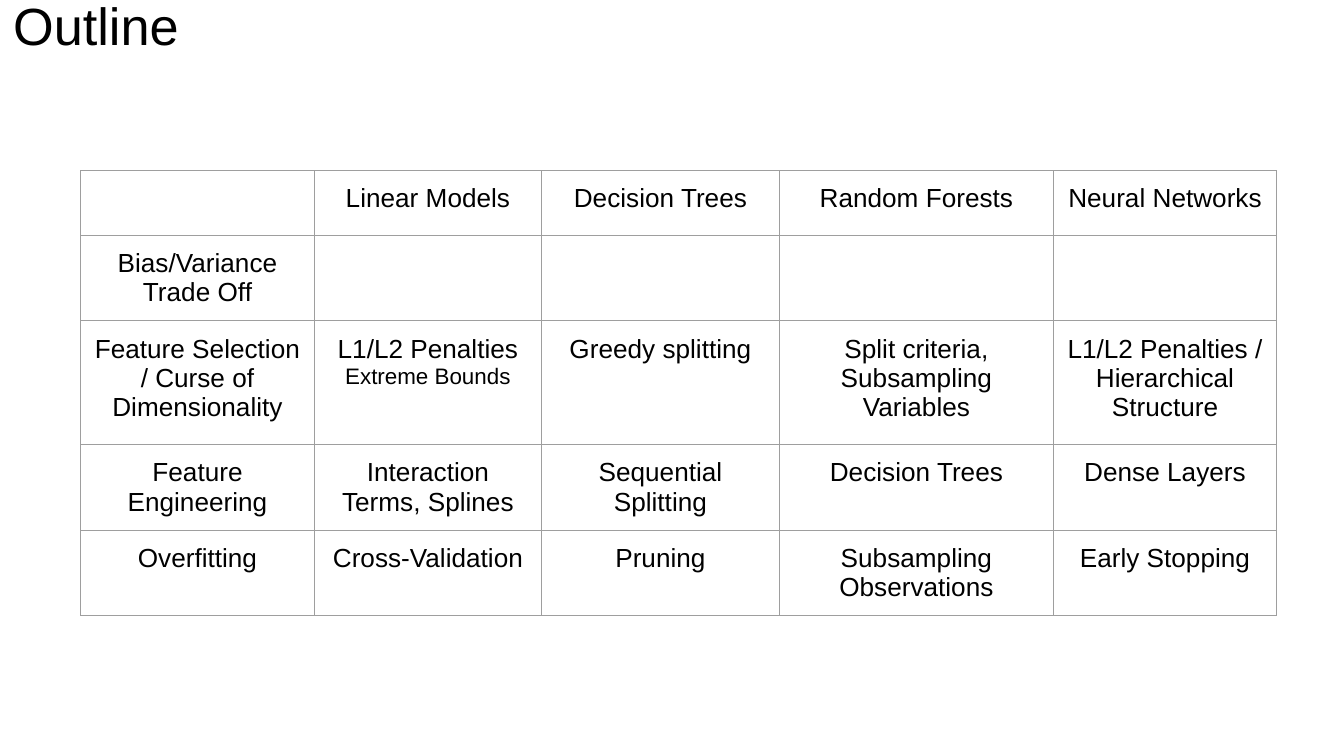
from lxml.etree import SubElement
from pptx import Presentation
from pptx.dml.color import RGBColor
from pptx.enum.text import MSO_ANCHOR as Anchor, PP_ALIGN as Align
from pptx.oxml.ns import qn
from pptx.util import Inches, Pt

COLORS = {"text": "000000", "border": "9E9E9E", "background": "FFFFFF"}
FONT = "Arial"
INSET = Inches(0.1)
BODY_SIZE, NOTE_SIZE, TITLE_SIZE = 14, 12, 28

COLUMN_WIDTHS = [1.74, 1.69, 1.77, 2.04, 1.66]
ROW_HEIGHTS = [0.48, 0.42, 0.92, 0.43, 0.43]
TOPICS = [
    ["", "Linear Models", "Decision Trees", "Random Forests", "Neural Networks"],
    ["Bias/Variance Trade Off", "", "", "", ""],
    ["Feature Selection / Curse of Dimensionality",
     "L1/L2 Penalties\nExtreme Bounds", "Greedy splitting",
     "Split criteria, Subsampling Variables",
     "L1/L2 Penalties / Hierarchical Structure"],
    ["Feature Engineering", "Interaction Terms, Splines",
     "Sequential Splitting", "Decision Trees", "Dense Layers"],
    ["Overfitting", "Cross-Validation", "Pruning",
     "Subsampling Observations", "Early Stopping"],
]


def add_run(paragraph, text, size):
    run = paragraph.add_run()
    run.text = text
    run.font.name = FONT
    run.font.size = Pt(size)
    run.font.color.rgb = RGBColor.from_string(COLORS["text"])


def set_insets(holder):
    holder.margin_left = holder.margin_right = INSET
    holder.margin_top = holder.margin_bottom = INSET


def add_borders(cell, width=0.75):
    properties = cell._tc.get_or_add_tcPr()
    for position, side in enumerate(("lnL", "lnR", "lnT", "lnB")):
        line = SubElement(properties, qn(f"a:{side}"), w=str(Pt(width)))
        fill = SubElement(line, qn("a:solidFill"))
        SubElement(fill, qn("a:srgbClr"), val=COLORS["border"])
        properties.insert(position, line)


def fill_cell(cell, text):
    """Write the first line at body size and any further line as a note."""
    set_insets(cell)
    cell.fill.background()
    add_borders(cell)
    paragraph = cell.text_frame.paragraphs[0]
    if not text:
        SubElement(paragraph._p, qn("a:endParaRPr"), sz=str(BODY_SIZE * 100))
        return
    paragraph.alignment = Align.CENTER
    heading, *notes = text.split("\n")
    add_run(paragraph, heading, BODY_SIZE)
    for note in notes:
        paragraph.add_line_break()
        add_run(paragraph, note, NOTE_SIZE)


def add_topic_table(slide, left, top):
    table = slide.shapes.add_table(
        len(ROW_HEIGHTS), len(COLUMN_WIDTHS), Inches(left), Inches(top),
        Inches(sum(COLUMN_WIDTHS)), Inches(sum(ROW_HEIGHTS))).table
    table.first_row = table.horz_banding = False
    for column, width in zip(table.columns, COLUMN_WIDTHS):
        column.width = Inches(width)
    for row, height, texts in zip(table.rows, ROW_HEIGHTS, TOPICS):
        row.height = Inches(height)
        for cell, text in zip(row.cells, texts):
            fill_cell(cell, text)


def add_title(slide, text, left, top, width, height):
    frame = slide.shapes.add_textbox(
        Inches(left), Inches(top), Inches(width), Inches(height)).text_frame
    frame.word_wrap = True
    frame.vertical_anchor = Anchor.MIDDLE
    set_insets(frame)
    add_run(frame.paragraphs[0], text, TITLE_SIZE)


def main():
    presentation = Presentation()
    presentation.slide_width = Inches(10)
    presentation.slide_height = Inches(10 * 9 / 16)
    slide = presentation.slides.add_slide(presentation.slide_layouts[6])
    background = slide.background.fill
    background.solid()
    background.fore_color.rgb = RGBColor.from_string(COLORS["background"])
    add_topic_table(slide, 0.6, 1.27)
    add_title(slide, "Outline", 0, -0.1, 1.62, 0.56)
    presentation.save("out.pptx")


if __name__ == "__main__":
    main()
